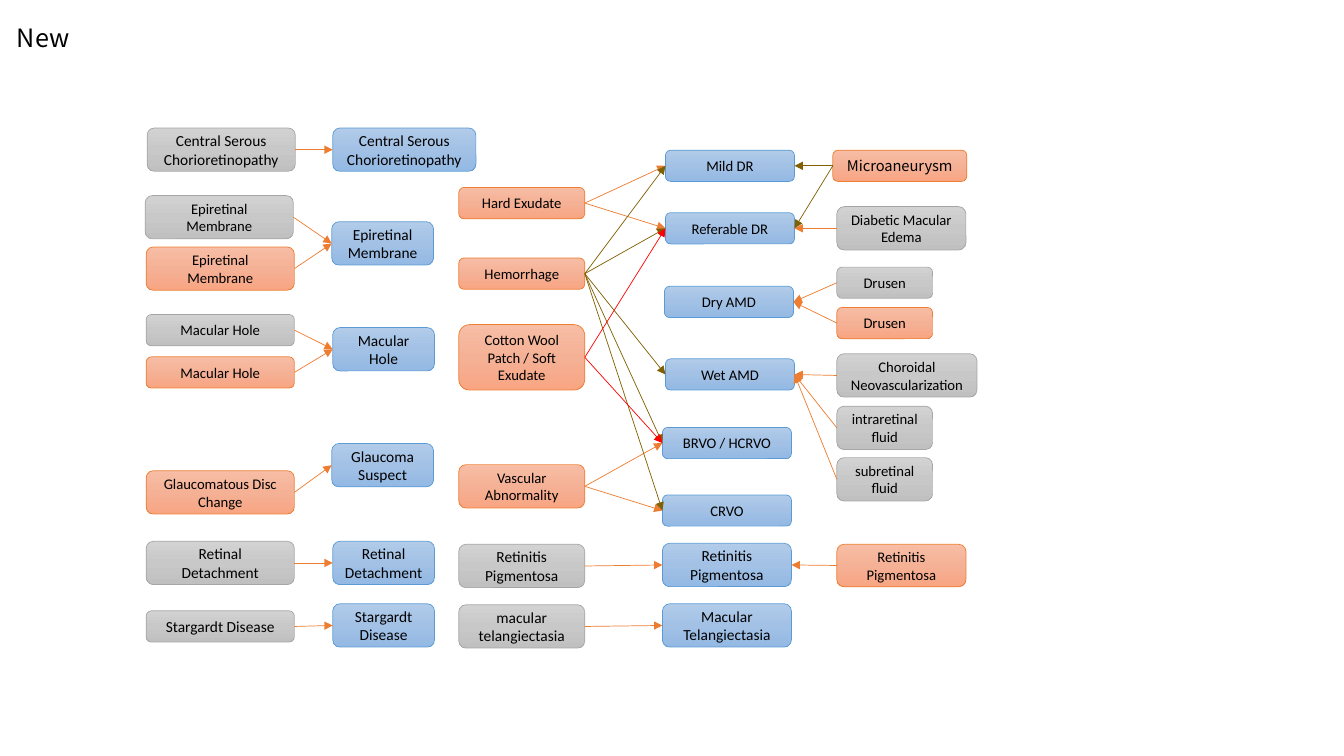
from copy import deepcopy
from dataclasses import dataclass

from lxml.etree import SubElement
from pptx import Presentation
from pptx.dml.color import RGBColor
from pptx.enum.shapes import MSO_CONNECTOR, MSO_SHAPE
from pptx.enum.text import MSO_ANCHOR, PP_ALIGN
from pptx.oxml.ns import qn
from pptx.util import Pt

PX = 9144  # one hundredth of an inch


@dataclass(frozen=True)
class Theme:
    text: str = "000000"
    font: str = "Calibri"
    wide_font: str = "Noto Sans CJK SC"
    title_size: float = 18
    large: float = 11
    small: float = 10.5
    line_width: float = 0.5
    orange: str = "ED7D31"
    olive: str = "806000"
    red: str = "FF0000"
    # Outline, then gradient from top to bottom
    lesion: tuple = ("ED7D31", "F7BDA5", "F5B196", "F8A582")
    disease: tuple = ("5B9BD5", "B1CBE9", "A3C1E5", "93B9E4")
    scan: tuple = ("A5A5A5", "D2D2D2", "C8C8C8", "C0C0C0")


THEME = Theme()
LARGE, SMALL = THEME.large, THEME.small
LEFT_SIDE, RIGHT_SIDE = 1, 3  # connection sites of a rounded rectangle

# Key: (text, left, top, width, height, type size)
DISEASES = {
    "csc": ("Central Serous Chorioretinopathy", 330, 127, 142, 43, LARGE),
    "membrane": ("Epiretinal Membrane", 329, 220, 101, 43, LARGE),
    "hole": ("Macular Hole", 330, 325, 101, 43, LARGE),
    "glaucoma": ("Glaucoma Suspect", 329, 440, 101, 43, LARGE),
    "detachment": ("Retinal Detachment", 330, 537, 101, 43, LARGE),
    "stargardt": ("Stargardt Disease", 330, 599, 101, 43, LARGE),
    "mild": ("Mild DR", 660, 149, 128, 31, SMALL),
    "referable": ("Referable DR", 660, 211, 128, 31, SMALL),
    "dry": ("Dry AMD", 659, 284, 128, 31, SMALL),
    "wet": ("Wet AMD", 660, 356, 128, 31, SMALL),
    "brvo": ("BRVO / HCRVO", 657, 424, 128, 31, SMALL),
    "crvo": ("CRVO", 657, 491, 128, 31, SMALL),
    "pigmentosa": ("Retinitis Pigmentosa", 657, 539, 128, 43, LARGE),
    "telangiectasia": ("Macular Telangiectasia", 657, 599, 128, 43, LARGE),
}
LESIONS = {
    "membrane lesion": ("Epiretinal Membrane", 145, 245, 147, 43, SMALL),
    "hole lesion": ("Macular Hole", 145, 354, 147, 31, SMALL),
    "disc change": ("Glaucomatous Disc Change", 145, 467, 147, 43, SMALL),
    "exudate": ("Hard Exudate", 455, 186, 125, 31, SMALL),
    "hemorrhage": ("Hemorrhage", 455, 256, 125, 31, SMALL),
    "cotton wool": ("Cotton Wool Patch / Soft Exudate", 455, 322, 125, 65, SMALL),
    "vascular": ("Vascular Abnormality", 455, 461, 125, 43, SMALL),
    "microaneurysm": ("Microaneurysm", 826, 149, 133, 31, SMALL),
    "drusen lesion": ("Drusen", 830, 305, 95, 31, SMALL),
    "pigmentosa lesion": ("Retinitis Pigmentosa", 830, 540, 128, 42, SMALL),
}
SCANS = {
    "csc scan": ("Central Serous Chorioretinopathy", 146, 127, 147, 43, LARGE),
    "membrane scan": ("Epiretinal Membrane", 144, 194, 147, 43, SMALL),
    "hole scan": ("Macular Hole", 145, 312, 147, 31, SMALL),
    "detachment scan": ("Retinal Detachment", 145, 537, 147, 43, LARGE),
    "stargardt scan": ("Stargardt Disease", 145, 606, 147, 31, LARGE),
    "pigmentosa scan": ("Retinitis Pigmentosa", 455, 540, 125, 43, LARGE),
    "telangiectasia scan": ("macular telangiectasia", 455, 600, 125, 43, LARGE),
    "edema": ("Diabetic Macular Edema", 830, 205, 128, 43, SMALL),
    "drusen scan": ("Drusen", 830, 265, 95, 31, SMALL),
    "choroidal": ("Choroidal Neovascularization", 830, 351, 139, 43, SMALL),
    "intraretinal": ("intraretinal fluid", 830, 403, 95, 43, SMALL),
    "subretinal": ("subretinal fluid", 830, 454, 95, 43, SMALL),
}

# Line colour: finding and the diseases it points to
LINKS = {
    THEME.orange: {
        "csc scan": ["csc"],
        "membrane scan": ["membrane"],
        "membrane lesion": ["membrane"],
        "hole scan": ["hole"],
        "hole lesion": ["hole"],
        "disc change": ["glaucoma"],
        "detachment scan": ["detachment"],
        "stargardt scan": ["stargardt"],
        "exudate": ["mild", "referable"],
        "vascular": ["brvo", "crvo"],
        "pigmentosa scan": ["pigmentosa"],
        "pigmentosa lesion": ["pigmentosa"],
        "telangiectasia scan": ["telangiectasia"],
        "edema": ["referable"],
        "drusen scan": ["dry"],
        "drusen lesion": ["dry"],
        "choroidal": ["wet"],
        "intraretinal": ["wet"],
        "subretinal": ["wet"],
    },
    THEME.olive: {
        "hemorrhage": ["mild", "referable", "wet", "brvo", "crvo"],
        "microaneurysm": ["mild", "referable"],
    },
    THEME.red: {"cotton wool": ["referable", "brvo"]},
}


def write_text(box, text, size, font):
    box.text_frame.text = text
    box.text_frame.word_wrap = True
    paragraph = box.text_frame.paragraphs[0]
    paragraph.font.size = Pt(size)
    span = paragraph.runs[0]
    span.font.size = Pt(size)
    span.font.name = font
    span.font.color.rgb = RGBColor.from_string(THEME.text)
    return paragraph


def fill_gradient(box, colours):
    box.fill.gradient()
    box.fill.gradient_angle = 270
    first_stop = box.fill._xPr.find(".//" + qn("a:gs"))
    first_stop.addnext(deepcopy(first_stop))
    for number, (stop, colour) in enumerate(zip(box.fill.gradient_stops, colours)):
        stop.position = number / 2
        stop.color.rgb = RGBColor.from_string(colour)


def add_title(page, text):
    box = page.shapes.add_textbox(7 * PX, 17 * PX, 201 * PX, 40 * PX)
    write_text(box, text, THEME.title_size, THEME.wide_font)


def add_node(page, style, text, left, top, width, height, size, font):
    box = page.shapes.add_shape(
        MSO_SHAPE.ROUNDED_RECTANGLE, left * PX, top * PX, width * PX, height * PX)
    box.shadow.inherit = False
    outline, *gradient = style
    fill_gradient(box, gradient)
    box.line.color.rgb = RGBColor.from_string(outline)
    box.line.width = Pt(THEME.line_width)
    box.text_frame.vertical_anchor = MSO_ANCHOR.MIDDLE
    write_text(box, text, size, font).alignment = PP_ALIGN.CENTER
    return box


def add_arrow(page, finding, disease, colour):
    arrow = page.shapes.add_connector(MSO_CONNECTOR.STRAIGHT, 0, 0, 0, 0)
    rightward = finding.left < disease.left
    arrow.begin_connect(finding, RIGHT_SIDE if rightward else LEFT_SIDE)
    arrow.end_connect(disease, LEFT_SIDE if rightward else RIGHT_SIDE)
    arrow.line.color.rgb = RGBColor.from_string(colour)
    arrow.line.width = Pt(THEME.line_width)
    SubElement(arrow.line._get_or_add_ln(), qn("a:tailEnd"), type="triangle")
    SubElement(arrow._element.spPr, qn("a:effectLst"))


def main():
    deck = Presentation()
    deck.slide_width, deck.slide_height = 1333 * PX, 750 * PX
    page = deck.slides.add_slide(deck.slide_layouts[6])
    add_title(page, "New")

    # Findings and diseases
    nodes = {}
    for style, group in ((THEME.lesion, LESIONS), (THEME.disease, DISEASES),
                         (THEME.scan, SCANS)):
        for key, node in group.items():
            font = THEME.wide_font if key == "microaneurysm" else THEME.font
            nodes[key] = add_node(page, style, *node, font)

    # Arrows from each finding to its diseases
    for colour, links in LINKS.items():
        for finding, diseases in links.items():
            for disease in diseases:
                add_arrow(page, nodes[finding], nodes[disease], colour)

    deck.save("out.pptx")


if __name__ == "__main__":
    main()
